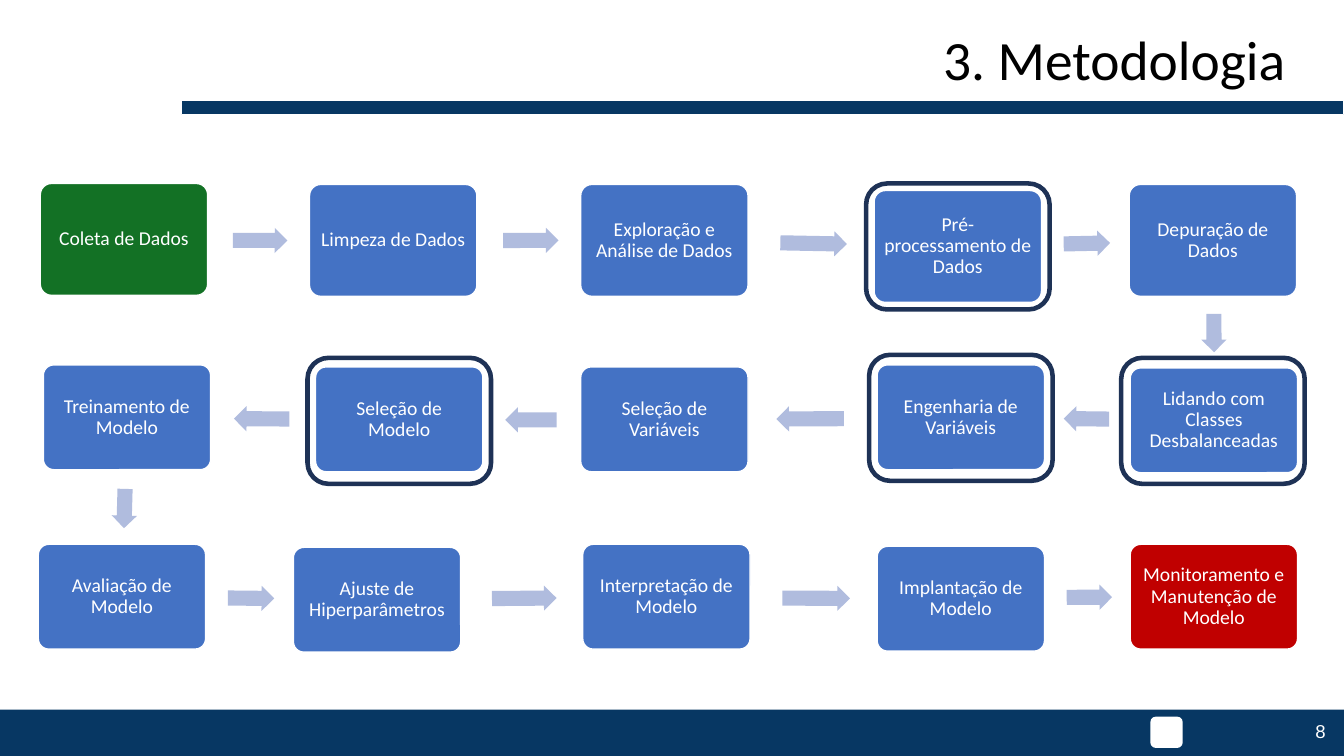
import pptx
import pptx.util
import pptx.dml.color
import pptx.enum.shapes
import pptx.enum.text

Inches = pptx.util.Inches
Pt = pptx.util.Pt
Shape = pptx.enum.shapes.MSO_SHAPE
Align = pptx.enum.text.PP_ALIGN
Anchor = pptx.enum.text.MSO_ANCHOR

COLORS = {
    "navy": "073763",
    "white": "FFFFFF",
    "black": "000000",
    "blue": "4472C4",
    "green": "137125",
    "red": "C00000",
    "arrow": "B0BCDE",
    "outline": "1E3256",
}

STEP_WIDTH = 1.66
STEP_ROWS = [
    (1.11, [
        (0.4, 1.82, "Coleta de Dados", "green"),
        (3.07, 1.83, "Limpeza de Dados", "blue"),
        (5.76, 1.83, "Exploração e Análise de Dados", "blue"),
        (8.67, 1.89, "Pré-processamento de Dados", "blue"),
        (11.2, 1.83, "Depuração de Dados", "blue"),
    ]),
    (1.04, [
        (11.21, 3.65, "Lidando com Classes Desbalanceadas", "blue"),
        (8.7, 3.62, "Engenharia de Variáveis", "blue"),
        (5.76, 3.64, "Seleção de Variáveis", "blue"),
        (3.13, 3.64, "Seleção de Modelo", "blue"),
        (0.43, 3.62, "Treinamento de Modelo", "blue"),
    ]),
    (1.04, [
        (0.38, 5.4, "Avaliação de Modelo", "blue"),
        (2.91, 5.43, "Ajuste de Hiperparâmetros", "blue"),
        (5.78, 5.4, "Interpretação de Modelo", "blue"),
        (8.7, 5.42, "Implantação de Modelo", "blue"),
        (11.21, 5.4, "Monitoramento e Manutenção de Modelo", "red"),
    ]),
]

ARROW_HEIGHT = 0.25
ARROWS = [
    (2.31, 2.26, 0.54, 0.2),
    (4.99, 2.26, 0.55, 359.9),
    (7.74, 2.29, 0.66, 1.1),
    (10.55, 2.29, 0.46, 358.8),
    (11.85, 3.18, 0.38, 89.7),
    (10.55, 4.03, 0.45, 180.7),
    (7.7, 4.03, 0.67, 179.7),
    (5.01, 4.04, 0.51, 180),
    (2.32, 4.03, 0.55, 180.4),
    (1.04, 4.92, 0.39, 91.6),
    (2.26, 5.81, 0.46, 0.6),
    (4.88, 5.81, 0.64, 359.5),
    (7.76, 5.81, 0.67, 0.3),
    (10.58, 5.8, 0.45, 359.7),
]

HIGHLIGHTS = [(8.59, 1.82), (11.12, 3.55), (3.05, 3.55), (8.62, 3.52)]


def color(name):
    return pptx.dml.color.RGBColor.from_string(COLORS[name])


def add_box(page, kind, left, top, width, height, fill=None, line=None, weight=1):
    box = page.shapes.add_shape(
        kind, Inches(left), Inches(top), Inches(width), Inches(height))
    box.shadow.inherit = False
    if fill:
        box.fill.solid()
        box.fill.fore_color.rgb = color(fill)
    else:
        box.fill.background()
    if line:
        box.line.color.rgb = color(line)
        box.line.width = Pt(weight)
    else:
        box.line.fill.background()
    return box


def write_text(box, text, size=14, font="Calibri", ink="white", align=Align.CENTER,
               anchor=Anchor.MIDDLE, inset=0.06, spacing=1.0):
    frame = box.text_frame
    frame.word_wrap = True
    frame.auto_size = pptx.enum.text.MSO_AUTO_SIZE.NONE
    frame.vertical_anchor = anchor
    frame.margin_left = frame.margin_right = Inches(inset)
    frame.margin_top = frame.margin_bottom = Inches(inset)
    para = frame.paragraphs[0]
    para.alignment = align
    para.line_spacing = spacing
    span = para.add_run()
    span.text = text
    span.font.size = Pt(size)
    span.font.name = font
    span.font.color.rgb = color(ink)


def add_title(page, text):
    title = page.shapes.title
    title.left, title.top = Inches(2.27), Inches(0.11)
    title.width, title.height = Inches(10.61), Inches(0.93)
    write_text(title, text, size=39.6, ink="black", align=Align.RIGHT,
               anchor=Anchor.BOTTOM, inset=0.13)


def add_page_number(page, text):
    box = page.shapes.add_textbox(Inches(12.48), Inches(7), Inches(0.8), Inches(0.5))
    write_text(box, text, size=13.3, font="Arial", align=Align.RIGHT, inset=0.13)


def add_step(page, left, top, height, text, fill):
    box = add_box(page, Shape.ROUNDED_RECTANGLE, left, top, STEP_WIDTH, height,
                  fill=fill, line="white")
    box.adjustments[0] = 0.1
    write_text(box, text, spacing=0.9)


def add_arrow(page, left, top, length, angle):
    arrow = add_box(page, Shape.RIGHT_ARROW, left, top, length, ARROW_HEIGHT, fill="arrow")
    arrow.adjustments[0] = 0.6
    arrow.adjustments[1] = 0.5
    arrow.rotation = angle


def main():
    deck = pptx.Presentation()
    deck.slide_width, deck.slide_height = Inches(13.33), Inches(7.5)
    page = deck.slides.add_slide(deck.slide_layouts[5])

    add_box(page, Shape.RECTANGLE, 0, 7.04, 13.33, 0.46, fill="navy")
    add_box(page, Shape.RECTANGLE, 1.8, 1, 11.53, 0.14, fill="navy", line="white", weight=0.75)
    add_box(page, Shape.ROUNDED_RECTANGLE, 11.41, 7.11, 0.32, 0.31, fill="white")
    add_title(page, "3. Metodologia")
    add_page_number(page, "8")

    for height, steps in STEP_ROWS:
        for left, top, text, fill in steps:
            add_step(page, left, top, height, text, fill)
    for arrow in ARROWS:
        add_arrow(page, *arrow)
    for left, top in HIGHLIGHTS:
        add_box(page, Shape.ROUNDED_RECTANGLE, left, top, 1.82, 1.25,
                line="outline", weight=3.25)

    deck.save("out.pptx")


if __name__ == "__main__":
    main()
